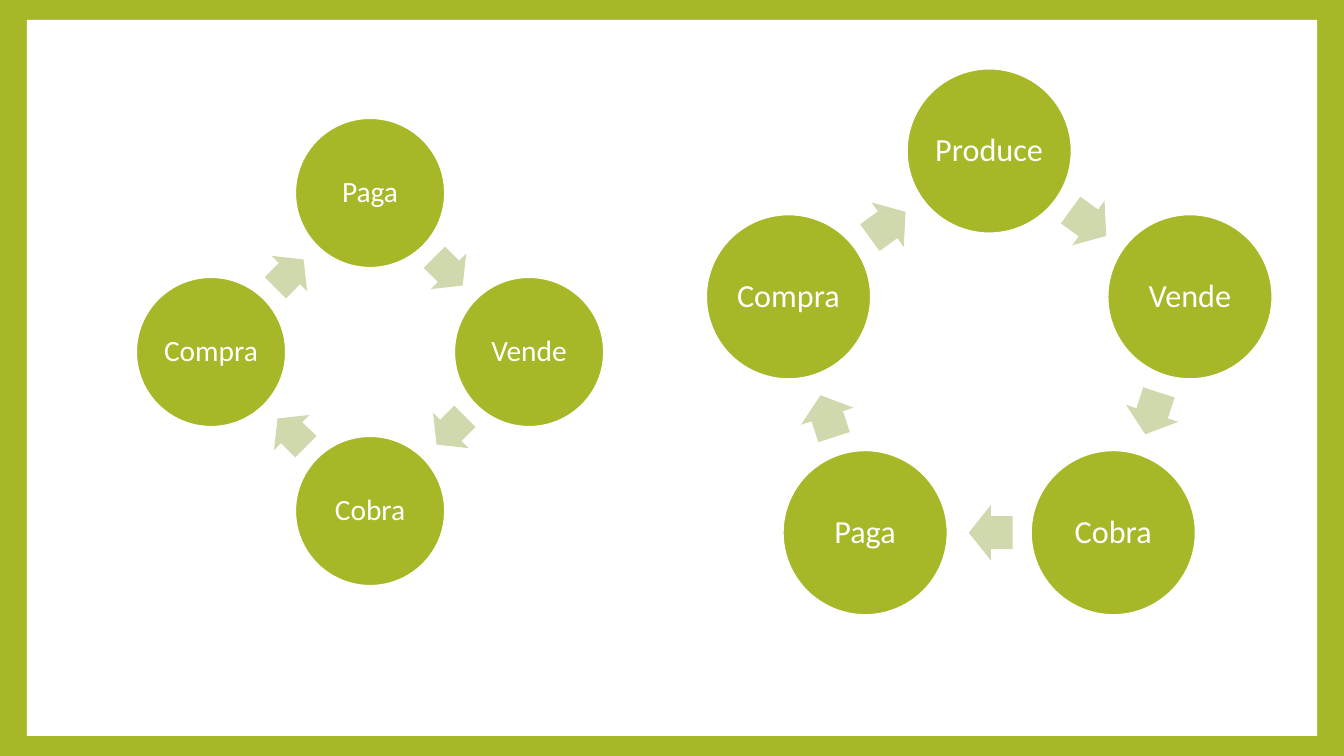
"""Build a slide with two business cycles drawn as rings of circles and arrows."""
import math

import pptx
import pptx.util
import pptx.dml.color
import pptx.enum.shapes
import pptx.enum.text

SHAPE = pptx.enum.shapes.MSO_SHAPE
COLORS = {"green": "A6B727", "pale": "D0D8AD", "white": "FFFFFF"}
PANEL = (27, 20, 1290, 716)
CYCLES = [
    {"steps": ["Paga", "Vende", "Cobra", "Compra"], "center": (370, 352),
     "radius": 159, "circle": 150, "arrow": (40, 50), "font_size": 21},
    {"steps": ["Produce", "Vende", "Cobra", "Paga", "Compra"], "center": (989, 362),
     "radius": 211, "circle": 165, "arrow": (44, 55), "font_size": 23},
]
ARROW_LAG = 1.5
TEXT_INSET = 3


def px(length):
    return round(length * 914400 / 100.8)


def rgb(name):
    return pptx.dml.color.RGBColor.from_string(COLORS[name])


def add_filled(parent, kind, box, color):
    shape = parent.shapes.add_shape(kind, *map(px, box))
    shape.shadow.inherit = False
    shape.fill.solid()
    shape.fill.fore_color.rgb = rgb(color)
    shape.line.fill.background()
    return shape


def centered(x, y, width, height):
    return x - width / 2, y - height / 2, width, height


def add_step(ring, label, spot, cycle):
    circle = add_filled(ring, SHAPE.OVAL, centered(*spot, cycle["circle"], cycle["circle"]), "green")
    circle.line.color.rgb = rgb("white")
    circle.line.width = pptx.util.Pt(1.5)
    frame = circle.text_frame
    frame.word_wrap = True
    frame.vertical_anchor = pptx.enum.text.MSO_ANCHOR.MIDDLE
    frame.margin_left = frame.margin_right = px(TEXT_INSET)
    frame.margin_top = frame.margin_bottom = px(TEXT_INSET)
    paragraph = frame.paragraphs[0]
    paragraph.alignment = pptx.enum.text.PP_ALIGN.CENTER
    paragraph.line_spacing = 0.9
    run = paragraph.add_run()
    run.text = label
    run.font.name = "Calibri"
    run.font.size = pptx.util.Pt(cycle["font_size"])
    run.font.color.rgb = rgb("white")


def add_link(ring, start, end, size):
    angle = math.atan2(end[1] - start[1], end[0] - start[0])
    x = (start[0] + end[0]) / 2 - ARROW_LAG * math.cos(angle)
    y = (start[1] + end[1]) / 2 - ARROW_LAG * math.sin(angle)
    arrow = add_filled(ring, SHAPE.RIGHT_ARROW, centered(x, y, *size), "pale")
    arrow.adjustments[0] = 0.6
    arrow.adjustments[1] = 0.5
    arrow.rotation = round(math.degrees(angle) % 360, 1)


def add_cycle(slide, cycle):
    ring = slide.shapes.add_group_shape()
    count = len(cycle["steps"])
    turns = [2 * math.pi * i / count for i in range(count)]
    center_x, center_y = cycle["center"]
    spots = [(center_x + cycle["radius"] * math.sin(turn),
              center_y - cycle["radius"] * math.cos(turn)) for turn in turns]
    for i, label in enumerate(cycle["steps"]):
        add_step(ring, label, spots[i], cycle)
        add_link(ring, spots[i], spots[(i + 1) % count], cycle["arrow"])


def main():
    deck = pptx.Presentation()
    deck.slide_width = pptx.util.Inches(13.33)
    deck.slide_height = pptx.util.Inches(7.5)
    slide = deck.slides.add_slide(deck.slide_layouts[6])
    slide.background.fill.solid()
    slide.background.fill.fore_color.rgb = rgb("green")
    add_filled(slide, SHAPE.RECTANGLE, PANEL, "white")
    for cycle in CYCLES:
        add_cycle(slide, cycle)
    deck.save("out.pptx")


if __name__ == "__main__":
    main()
